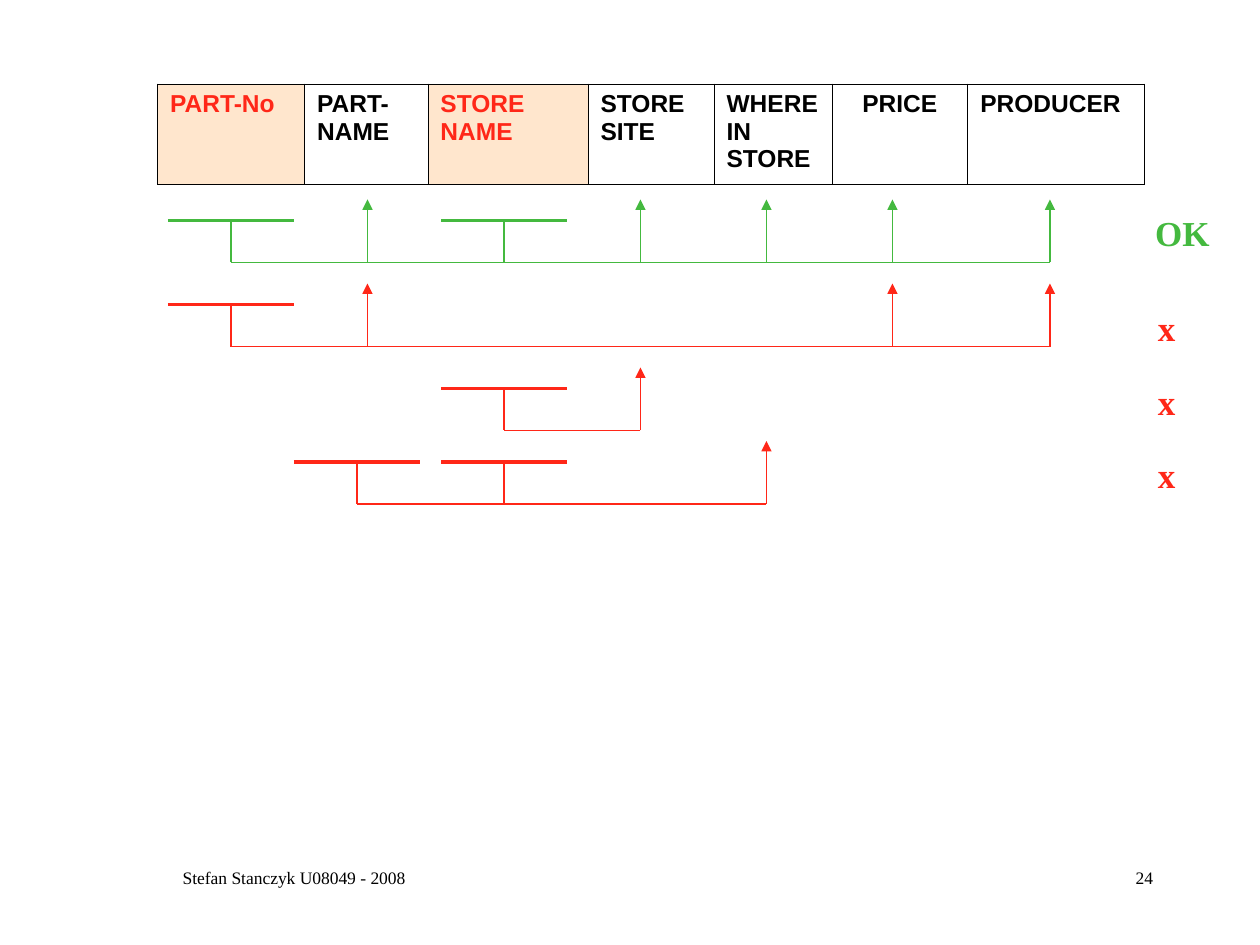
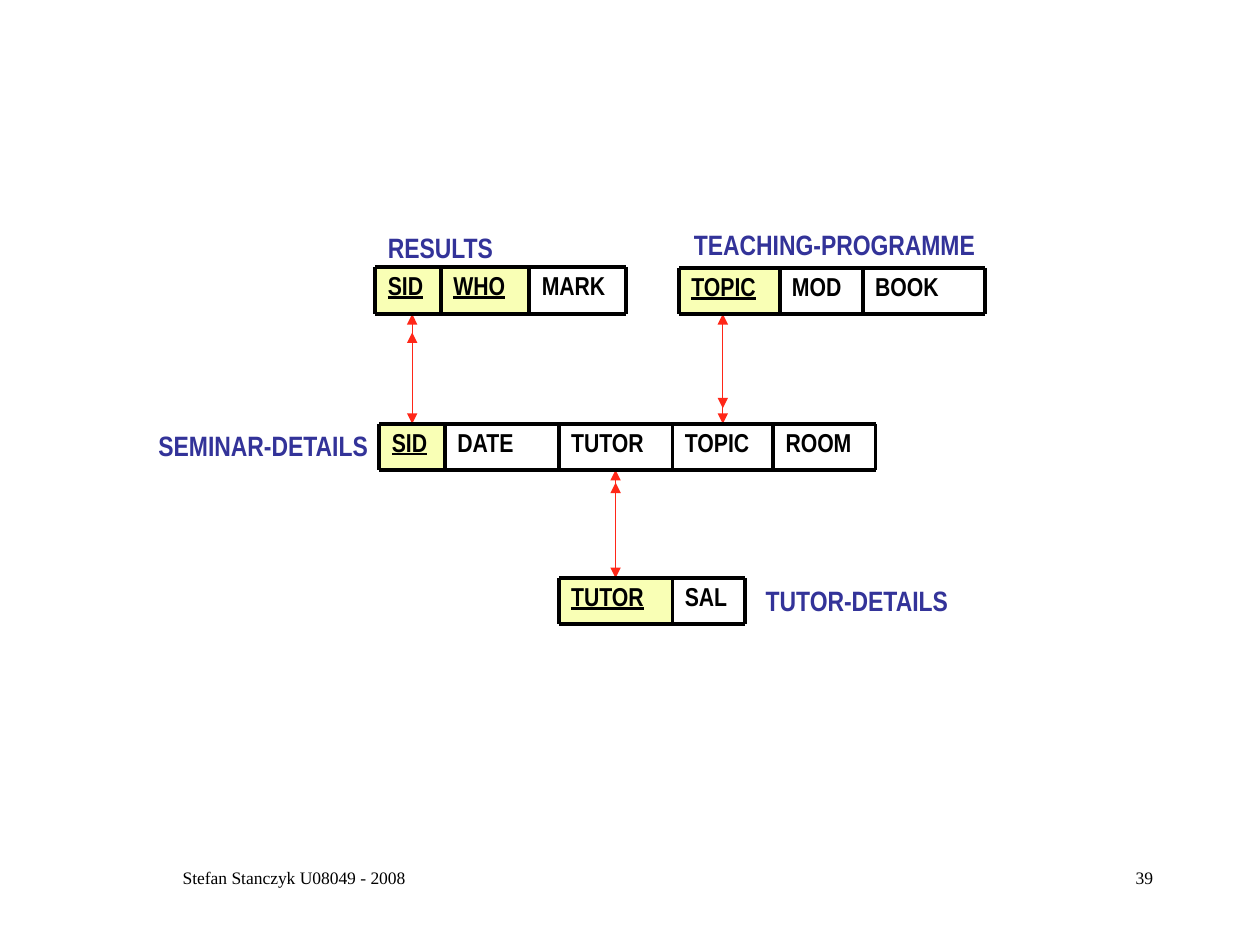
from collections import namedtuple

from lxml.etree import SubElement
from pptx import Presentation
from pptx.dml.color import RGBColor
from pptx.enum.shapes import MSO_CONNECTOR as Connector, MSO_SHAPE as Preset
from pptx.enum.text import MSO_ANCHOR as Anchor, MSO_AUTO_SIZE as AutoSize, PP_ALIGN as Align
from pptx.oxml.ns import qn
from pptx.util import Pt

BLACK = RGBColor(0x00, 0x00, 0x00)
RED = RGBColor(0xFF, 0x27, 0x18)
GREEN = RGBColor(0x44, 0xB9, 0x3F)
NAVY = RGBColor(0x33, 0x33, 0x99)
PEACH = RGBColor(0xFF, 0xE6, 0xCD)
YELLOW = RGBColor(0xF9, 0xFF, 0xB5)

SERIF, SANS, NARROW = "Times New Roman", "Arial", "Arial Narrow"
THIN, THICK = 0.75, 2.25
TOP, BOTTOM = 0, 2

Box = namedtuple("Box", "left top width height")
# Each column is (name, is part of the key)
Relation = namedtuple("Relation", "box columns title title_box")


def in_points(box):
    return [Pt(length) for length in box]


# Shared parts
def write(frame, text, font, size, color, bold=False, underline=None, align=Align.LEFT):
    para = frame.paragraphs[0]
    para.alignment = align
    span = para.add_run()
    span.text = text
    span.font.name, span.font.size = font, Pt(size)
    span.font.bold, span.font.underline = bold, underline
    span.font.color.rgb = color
    return para


def add_line(page, start, end, color, weight=THIN, arrows=()):
    line = page.shapes.add_connector(Connector.STRAIGHT, *in_points(start + end))
    line.line.color.rgb = color
    line.line.width = Pt(weight)
    properties = line.element.spPr
    for arrow in arrows:
        SubElement(properties.find(qn("a:ln")), qn("a:" + arrow), type="triangle")
    SubElement(properties, qn("a:effectLst"))
    return line


def add_label(page, box, text, font, size, color):
    label = page.shapes.add_textbox(*in_points(box))
    label.text_frame.word_wrap = False
    label.text_frame.auto_size = AutoSize.SHAPE_TO_FIT_TEXT
    write(label.text_frame, text, font, size, color, bold=True)


def add_footer(page, number):
    parts = [(Box(54, 492, 228, 36), "Stefan Stanczyk U08049 - 2008", Align.CENTER),
             (Box(516, 492, 150, 36), str(number), Align.RIGHT)]
    for box, text, align in parts:
        footer = page.shapes.add_textbox(*in_points(box))
        footer.text_frame.word_wrap = True
        write(footer.text_frame, text, SERIF, 10, BLACK, align=align)


# Slide 24: functional dependencies between table columns
HEADINGS = [
    ("PART-No", 84, True), ("PART-NAME", 70.5, False), ("STORE NAME", 91.5, True),
    ("STORE SITE", 72, False), ("WHERE IN STORE", 67.5, False),
    ("PRICE", 77.5, False), ("PRODUCER", 101, False),
]
BAR_WIDTH, BAR_RISE, ARROW_RISE = 72, 24, 36
PART_NO, PART_NAME, STORE = 132, 204, 288  # bar centres
TO_NAME, TO_SITE, TO_PLACE, TO_PRICE, TO_PRODUCER = 210, 366, 438, 510, 600
# Base line, colour, determinants, dependents, verdict and its box
DEPENDENCIES = [
    (150, GREEN, [PART_NO, STORE], [TO_NAME, TO_SITE, TO_PLACE, TO_PRICE, TO_PRODUCER],
     "OK", Box(653, 117.5, 45.4, 31.5)),
    (198, RED, [PART_NO], [TO_NAME, TO_PRICE, TO_PRODUCER], "x", Box(654.5, 171.5, 24.4, 31.5)),
    (246, RED, [STORE], [TO_SITE], "x", Box(654.5, 213.8, 24.4, 31.5)),
    (288, RED, [PART_NAME, STORE], [TO_PLACE], "x", Box(654.5, 255.8, 24.4, 31.5)),
]


def border_cell(cell):
    properties = cell._tc.get_or_add_tcPr()
    for side in ("lnL", "lnR", "lnT", "lnB"):
        edge = SubElement(properties, qn("a:" + side), w=str(Pt(0.45)))
        fill = SubElement(edge, qn("a:solidFill"))
        SubElement(fill, qn("a:srgbClr"), val=str(BLACK))


def add_heading_table(page, box):
    table = page.shapes.add_table(1, len(HEADINGS), *in_points(box)).table
    table.first_row = table.horz_banding = False
    table.rows[0].height = Pt(box.height)
    for index, (name, width, is_key) in enumerate(HEADINGS):
        table.columns[index].width = Pt(width)
        cell = table.cell(0, index)
        border_cell(cell)
        if is_key:
            cell.fill.solid()
            cell.fill.fore_color.rgb = PEACH
        else:
            cell.fill.background()
        write(cell.text_frame, name, SANS, 14, RED if is_key else BLACK, bold=True,
              align=Align.CENTER if name == "PRICE" else Align.LEFT)


def add_dependency(page, base, color, determinants, dependents, verdict, verdict_box):
    for x in dependents:
        add_line(page, (x, base), (x, base - ARROW_RISE), color, arrows=["tailEnd"])
    bar = base - BAR_RISE
    for x in determinants:
        add_line(page, (x - BAR_WIDTH / 2, bar), (x + BAR_WIDTH / 2, bar), color, THICK)
        add_line(page, (x, bar), (x, base), color)
    add_line(page, (determinants[0], base), (dependents[-1], base), color)
    add_label(page, verdict_box, verdict, SERIF, 20, color)


def build_dependencies(page):
    add_heading_table(page, Box(90, 48, 564, 57.6))
    for dependency in DEPENDENCIES:
        add_dependency(page, *dependency)
    add_footer(page, 24)


# Slide 39: relations linked by their keys
COLUMN_WIDTHS = {"SID": 37.5, "WHO": 50.5, "MARK": 55, "TOPIC": 57.5, "MOD": 47.5,
                 "BOOK": 70, "DATE": 65, "TUTOR": 65, "ROOM": 58.5, "SAL": 41.5}
ROW_HEIGHT = 26.4
RELATIONS = [
    Relation(Box(214.5, 152.8, 143, ROW_HEIGHT),
             [("SID", True), ("WHO", True), ("MARK", False)],
             "RESULTS", Box(214.5, 128.2, 75.5, 26.5)),
    Relation(Box(388, 153.2, 175, ROW_HEIGHT),
             [("TOPIC", True), ("MOD", False), ("BOOK", False)],
             "TEACHING-PROGRAMME", Box(389.5, 126.7, 175, 26.5)),
    Relation(Box(216.8, 242.2, 283.5, ROW_HEIGHT),
             [("SID", True), ("DATE", False), ("TUTOR", False), ("TOPIC", False), ("ROOM", False)],
             "SEMINAR-DETAILS", Box(83.5, 241.2, 134.6, 26.5)),
    Relation(Box(319.3, 330.3, 106.5, ROW_HEIGHT),
             [("TUTOR", True), ("SAL", False)],
             "TUTOR-DETAILS", Box(430.5, 329.7, 119.5, 26.5)),
]


def add_cells(page, relation):
    cells = {}
    left = relation.box.left
    for name, is_key in relation.columns:
        box = Box(left, relation.box.top, COLUMN_WIDTHS[name], relation.box.height)
        cell = page.shapes.add_shape(Preset.RECTANGLE, *in_points(box))
        cell.shadow.inherit = False
        cell.line.fill.background()
        if is_key:
            cell.fill.solid()
            cell.fill.fore_color.rgb = YELLOW
        else:
            cell.fill.background()
        cell.text_frame.vertical_anchor = Anchor.TOP
        cell.text_frame.word_wrap = True
        para = write(cell.text_frame, name, NARROW, 14.8, BLACK, bold=True,
                     underline=True if is_key else None)
        para.line_spacing = 0.9
        cells[name] = cell
        left += box.width
    return cells


def add_rules(page, relation):
    left, top, width, height = relation.box
    for y in (top, top + height):
        add_line(page, (left, y), (left + width, y), BLACK, THICK)
    edges = [left]
    for name, _ in relation.columns:
        edges.append(edges[-1] + COLUMN_WIDTHS[name])
    for x in edges:
        add_line(page, (x, top), (x, top + height), BLACK, THICK)


def add_link(page, cell, upper, inner_start, inner_end, upper_cell=None):
    """Link the top of a cell upwards; a second arrowhead marks the many side."""
    x = (cell.left + cell.width / 2) / Pt(1)
    link = add_line(page, (x, cell.top / Pt(1)), (x, upper), RED, arrows=["headEnd", "tailEnd"])
    link.begin_connect(cell, TOP)
    if upper_cell is not None:
        link.end_connect(upper_cell, BOTTOM)
    add_line(page, (x, inner_start), (x, inner_end), RED, arrows=["tailEnd"])


def build_relations(page):
    results, programme, seminar, tutor = [add_cells(page, relation) for relation in RELATIONS]
    add_link(page, seminar["TOPIC"], 179.5, 219, 233.3)
    add_link(page, seminar["SID"], 179.5, 197.3, 190)
    add_link(page, tutor["TUTOR"], 268, 283.7, 275.8, upper_cell=seminar["TUTOR"])
    for relation in RELATIONS:
        add_rules(page, relation)
        add_label(page, relation.title_box, relation.title, NARROW, 16, NAVY)
    add_footer(page, 39)


def main():
    deck = Presentation()
    deck.slide_width, deck.slide_height = Pt(720), Pt(540)
    for build in (build_dependencies, build_relations):
        build(deck.slides.add_slide(deck.slide_layouts[6]))
    deck.save("out.pptx")


if __name__ == "__main__":
    main()
